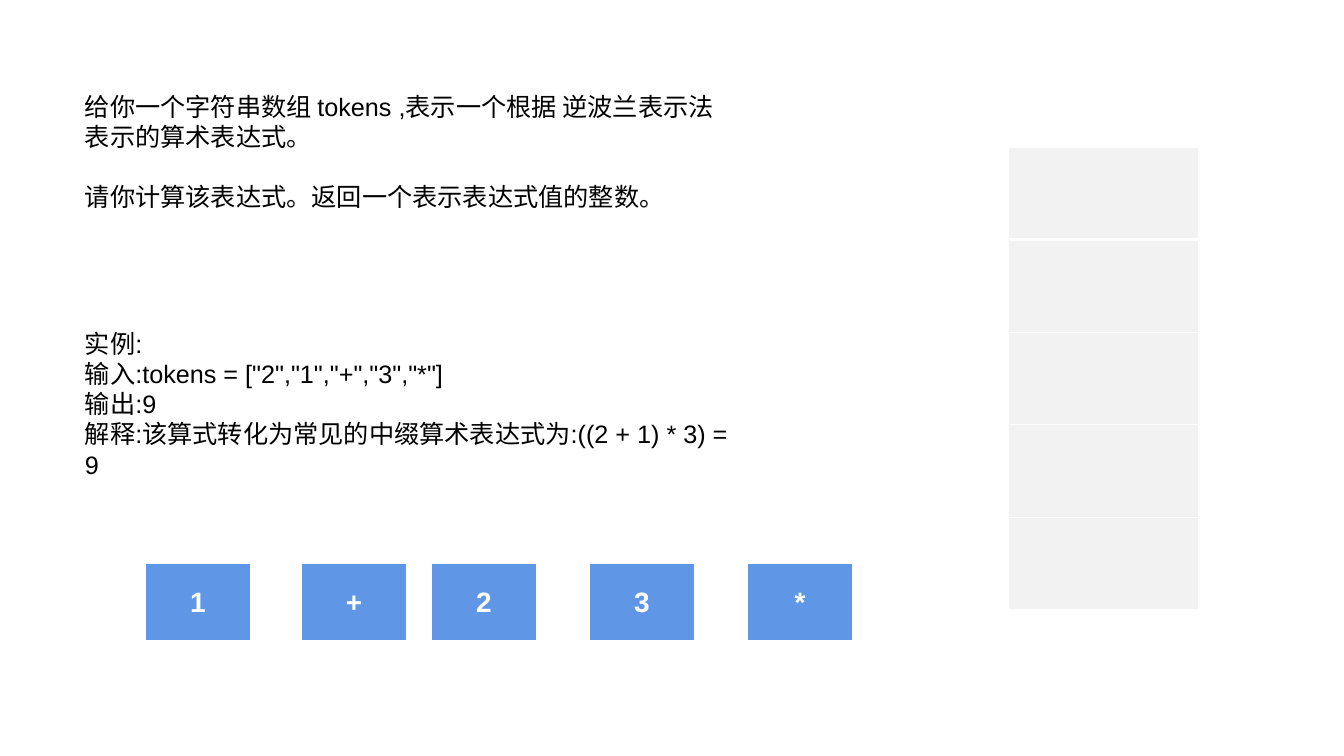
from lxml import etree
from pptx import Presentation
from pptx.dml.color import RGBColor
from pptx.enum.text import MSO_ANCHOR, PP_ALIGN
from pptx.oxml.ns import qn
from pptx.util import Pt

LEFT, CENTER = PP_ALIGN.LEFT, PP_ALIGN.CENTER
MIDDLE = MSO_ANCHOR.MIDDLE
BLACK = RGBColor(0, 0, 0)
WHITE = RGBColor(255, 255, 255)
BLUE = RGBColor(0x60, 0x96, 0xE6)
GRAY = RGBColor(0xF2, 0xF2, 0xF2)
SCALE = 914400 / 100.8

TASK = ["给你一个字符串数组 tokens ,表示一个根据 逆波兰表示法 表示的算术表达式。".replace(",", ","),
        "请你计算该表达式。返回一个表示表达式值的整数。"]
CASE = ["实例:",
        '输入:tokens = ["2","1","+","3","*"]',
        "输出:9",
        "解释:该算式转化为常见的中缀算术表达式为:((2 + 1) * 3) = 9"]
NOTES = [(TASK, 86, 132, 21.6), (CASE, 323, 162, 0)]
TOKENS = [("2", 431), ("1", 145), ("+", 301), ("3", 589), ("*", 747)]
SLOTS = [""] * 5


def px(*nums):
    return [round(n * SCALE) for n in nums]


def write(frame, lines, size=18, color=BLACK, bold=False, align=LEFT, gap=0):
    for i, line in enumerate(lines):
        para = frame.paragraphs[0] if i == 0 else frame.add_paragraph()
        para.alignment = align
        para.space_before = Pt(gap if i else 0)
        run = para.add_run()
        run.text = line
        font = run.font
        font.name, font.size, font.bold = "Arial", Pt(size), bold
        font.color.rgb = color


def edge(cell, base):
    props = cell._tc.get_or_add_tcPr()
    for i, (side, width) in enumerate([("L", 1), ("R", 1), ("T", 1), ("B", base)]):
        line = etree.Element(qn("a:ln" + side), w=str(Pt(width)))
        fill = etree.SubElement(line, qn("a:solidFill"))
        etree.SubElement(fill, qn("a:srgbClr"), val=str(WHITE))
        props.insert(i, line)


def grid(items, box, fill):
    table = slide.shapes.add_table(len(items), 1, *px(*box)).table
    table.horz_banding = False
    for i, item in enumerate(items):
        cell = table.cell(i, 0)
        cell.fill.solid()
        cell.fill.fore_color.rgb = fill
        cell.vertical_anchor = MIDDLE
        edge(cell, 1 if i else 3)
        if item:
            write(cell.text_frame, [item], size=20, color=WHITE, bold=True, align=CENTER)


deck = Presentation()
deck.slide_width, deck.slide_height = px(1344, 756)
slide = deck.slides.add_slide(deck.slide_layouts[6])

grid(SLOTS, (1008, 147, 191, 463), GRAY)
for lines, top, height, gap in NOTES:
    frame = slide.shapes.add_textbox(*px(75, top, 672, height)).text_frame
    frame.word_wrap = True
    write(frame, lines, gap=gap)
for token, left in TOKENS:
    grid([token], (left, 563, 106, 79), BLUE)

deck.save("out.pptx")
